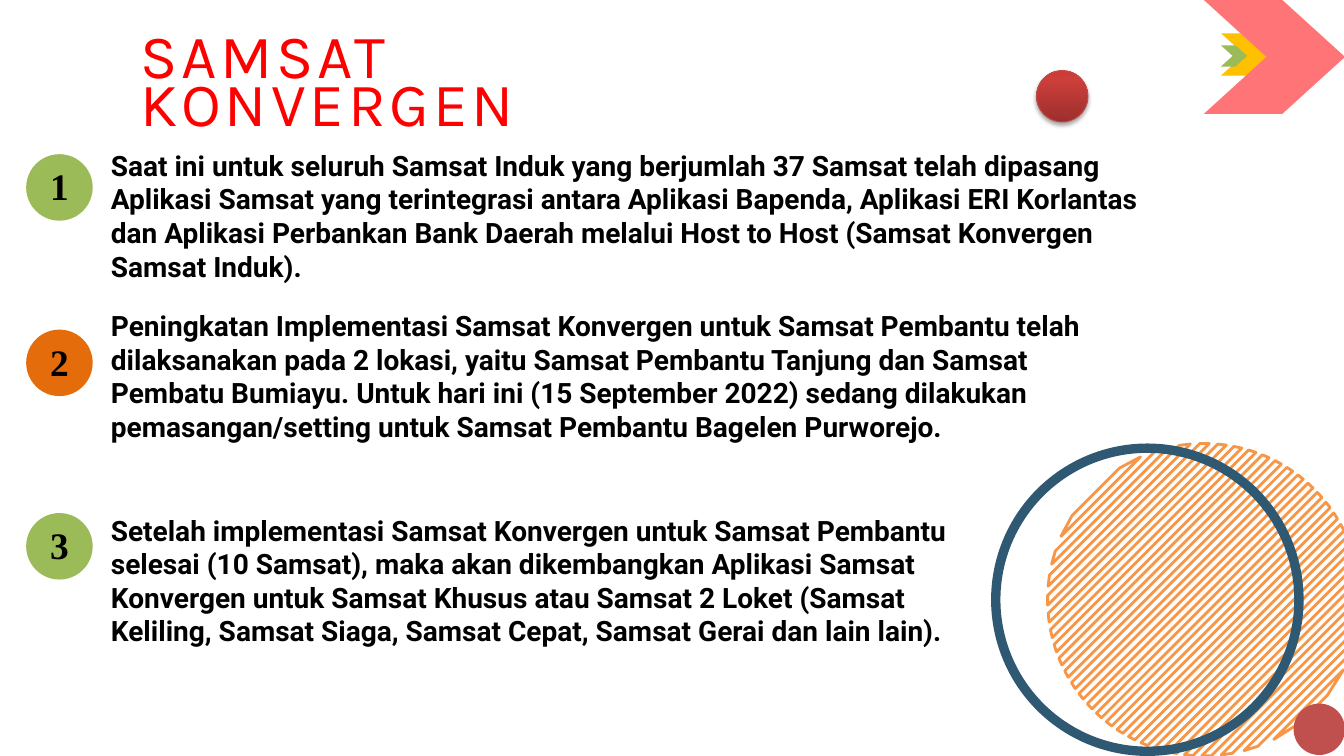
import copy
import math
from dataclasses import dataclass

import pptx
import pptx.dml.color
import pptx.enum.shapes
import pptx.enum.text
import pptx.oxml
import pptx.oxml.ns
import pptx.util
from pptx.util import Inches

COLORS = {
    "title": "FF0000", "text": "000000", "white": "FFFFFF",
    "green": "9BBB59", "orange": "E46C0A", "hatch": "F79646",
    "ring": "2F5972", "yellow": "FFC000", "pink": "FF7477",
    "dot": "C0504D", "ball_line": "BF4C48",
    "ball_dark": "9C2F2D", "ball_mid": "CB3E3A", "ball_light": "CE3B37",
}
SHAPES = pptx.enum.shapes.MSO_SHAPE
ALIGN = pptx.enum.text.PP_ALIGN
BADGE_LEFT, BADGE_SIZE = 0.26, 0.66
NUMBER_WIDTH, NUMBER_HEIGHT = 0.28, 0.42


@dataclass(frozen=True)
class Box:
    left: float
    top: float
    width: float
    height: float

    def lengths(self) -> tuple:
        return tuple(Inches(v) for v in (self.left, self.top, self.width, self.height))


@dataclass(frozen=True)
class TextStyle:
    font: str
    size: float
    color: str = "text"
    bold: bool = True
    align: ALIGN = ALIGN.LEFT
    line_points: float = 0
    letter_spacing: float = 0


@dataclass(frozen=True)
class Point:
    """A numbered statement with its badge."""
    number: str
    text: str
    box: Box
    badge_top: float
    badge_color: str
    background: str = ""


@dataclass(frozen=True)
class Chevron:
    box: Box
    color: str


TITLE = TextStyle("Karla", 44, "title", False, line_points=33.6, letter_spacing=2.8)
BODY = TextStyle("Roboto", 20)
NUMBER = TextStyle("Times New Roman", 26.7, align=ALIGN.CENTER, line_points=30)

POINTS = [
    Point("1", "Saat ini untuk seluruh Samsat Induk yang berjumlah 37 Samsat telah dipasang "
          "Aplikasi Samsat yang terintegrasi antara Aplikasi Bapenda, Aplikasi ERI Korlantas "
          "dan Aplikasi Perbankan Bank Daerah melalui Host to Host (Samsat Konvergen "
          "Samsat Induk).", Box(1.1, 1.47, 10.57, 1.01), 1.53, "green"),
    Point("2", "Peningkatan Implementasi Samsat Konvergen untuk Samsat Pembantu telah "
          "dilaksanakan pada 2 lokasi, yaitu Samsat Pembantu Tanjung dan Samsat "
          "Pembatu Bumiayu. Untuk hari ini (15 September 2022) sedang dilakukan "
          "pemasangan/setting untuk Samsat Pembantu Bagelen Purworejo.",
          Box(1.1, 3.06, 9.82, 1.35), 3.27, "orange", "white"),
    Point("3", "Setelah implementasi Samsat Konvergen untuk Samsat Pembantu "
          "selesai (10 Samsat), maka akan dikembangkan Aplikasi Samsat "
          "Konvergen untuk Samsat Khusus atau Samsat 2 Loket (Samsat "
          "Keliling, Samsat Siaga, Samsat Cepat, Samsat Gerai dan lain lain).",
          Box(1.1, 5.09, 8.56, 1.35), 5.09, "green"),
]
CHEVRONS = [
    Chevron(Box(12.11, 0.33, 0.52, 0.42), "yellow"),
    Chevron(Box(11.94, 0, 1.4, 1.13), "pink"),
    Chevron(Box(12.11, 0.45, 0.26, 0.21), "green"),
]


def rgb(name: str) -> pptx.dml.color.RGBColor:
    return pptx.dml.color.RGBColor.from_string(COLORS[name])


def paint(shape, color: str) -> None:
    shape.fill.solid()
    shape.fill.fore_color.rgb = rgb(color)


def add_plain(slide, preset: SHAPES, box: Box, color: str):
    """Add a flat preset shape without outline or shadow."""
    shape = slide.shapes.add_shape(preset, *box.lengths())
    paint(shape, color)
    shape.line.fill.background()
    shape.shadow.inherit = False
    return shape


def add_text(slide, box: Box, text: str, style: TextStyle, inset: float = 0):
    area = slide.shapes.add_textbox(*box.lengths())
    frame = area.text_frame
    frame.word_wrap = True
    frame.margin_left = frame.margin_right = Inches(inset)
    frame.margin_top = frame.margin_bottom = Inches(inset / 2)
    paragraph = frame.paragraphs[0]
    paragraph.alignment = style.align
    if style.line_points:
        paragraph.line_spacing = pptx.util.Pt(style.line_points)
    run = paragraph.add_run()
    run.text = text
    run.font.name = style.font
    run.font.size = pptx.util.Pt(style.size)
    run.font.bold = style.bold
    run.font.color.rgb = rgb(style.color)
    if style.letter_spacing:
        run.font._element.set("spc", str(round(style.letter_spacing * 100)))
    return area


def add_hatched_disc(slide, center_x: float, center_y: float, radius: float) -> None:
    """Fill a circle with evenly spaced diagonal stripes, as one outline."""
    count, first, last, thickness = 24, -2.14, 2.08, 0.095

    def chord(offset: float) -> list[tuple]:
        """Ends of the circle's chord where x + y exceeds the centre's sum by offset."""
        half = math.sqrt(radius ** 2 - offset ** 2 / 2) / math.sqrt(2)
        return [(Inches(center_x + offset / 2 + side * half),
                 Inches(center_y + offset / 2 - side * half)) for side in (-1, 1)]

    builder = None
    for index in range(count):
        offset = first + index * (last - first) / (count - 1)
        start, end = chord(offset)
        next_start, next_end = chord(offset + thickness)
        if builder is None:
            builder = slide.shapes.build_freeform(*start)
        else:
            builder.move_to(*start)
        builder.add_line_segments([end, next_end, next_start], close=True)
    disc = builder.convert_to_shape()
    paint(disc, "white")
    disc.line.color.rgb = rgb("hatch")
    disc.line.width = pptx.util.Pt(2)
    disc.shadow.inherit = False


def add_shaded_ball(slide, box: Box) -> None:
    ball = add_plain(slide, SHAPES.OVAL, box, "dot")
    ball.line.color.rgb = rgb("ball_line")
    ball.line.width = pptx.util.Pt(0.75)
    ball.fill.gradient()
    ball.fill.gradient_angle = 90
    properties = ball._element.spPr
    stop_list = properties.xpath(".//a:gsLst")[0]
    stop_list.insert(1, copy.deepcopy(stop_list[0]))
    shades = [(0, "ball_dark"), (0.8, "ball_mid"), (1, "ball_light")]
    for stop, (position, color) in zip(ball.fill.gradient_stops, shades):
        stop.position = position
        stop.color.rgb = rgb(color)
    properties.xpath("a:effectLst")[0].append(pptx.oxml.parse_xml(
        f'<a:outerShdw {pptx.oxml.ns.nsdecls("a")} blurRad="39400" dist="22900" '
        'dir="5400000" rotWithShape="0"><a:srgbClr val="000000">'
        '<a:alpha val="35000"/></a:srgbClr></a:outerShdw>'))


def add_badge(slide, point: Point) -> None:
    add_plain(slide, SHAPES.OVAL,
              Box(BADGE_LEFT, point.badge_top, BADGE_SIZE, BADGE_SIZE), point.badge_color)
    number_box = Box(BADGE_LEFT + (BADGE_SIZE - NUMBER_WIDTH) / 2,
                     point.badge_top + (BADGE_SIZE - NUMBER_HEIGHT) / 2,
                     NUMBER_WIDTH, NUMBER_HEIGHT)
    add_text(slide, number_box, point.number, NUMBER)


def main() -> None:
    deck = pptx.Presentation()
    deck.slide_width, deck.slide_height = Inches(13.33), Inches(7.5)
    slide = deck.slides.add_slide(deck.slide_layouts[6])

    add_text(slide, Box(1.29, 0.39, 5.71, 0.6), "SAMSAT KONVERGEN", TITLE, inset=0.1)
    add_hatched_disc(slide, 11.94, 5.95, 1.55)
    ring = add_plain(slide, SHAPES.DONUT, Box(9.83, 4.4, 3.1, 3.1), "ring")
    ring.adjustments[0] = 0.03
    add_plain(slide, SHAPES.OVAL, Box(12.83, 6.98, 0.51, 0.51), "dot")
    for chevron in CHEVRONS:
        arrow = add_plain(slide, SHAPES.CHEVRON, chevron.box, chevron.color)
        arrow.adjustments[0] = 0.55
    add_shaded_ball(slide, Box(10.28, 0.7, 0.51, 0.51))
    for point in POINTS:
        statement = add_text(slide, point.box, point.text, BODY)
        if point.background:
            paint(statement, point.background)
        add_badge(slide, point)
    deck.save("out.pptx")


if __name__ == "__main__":
    main()
